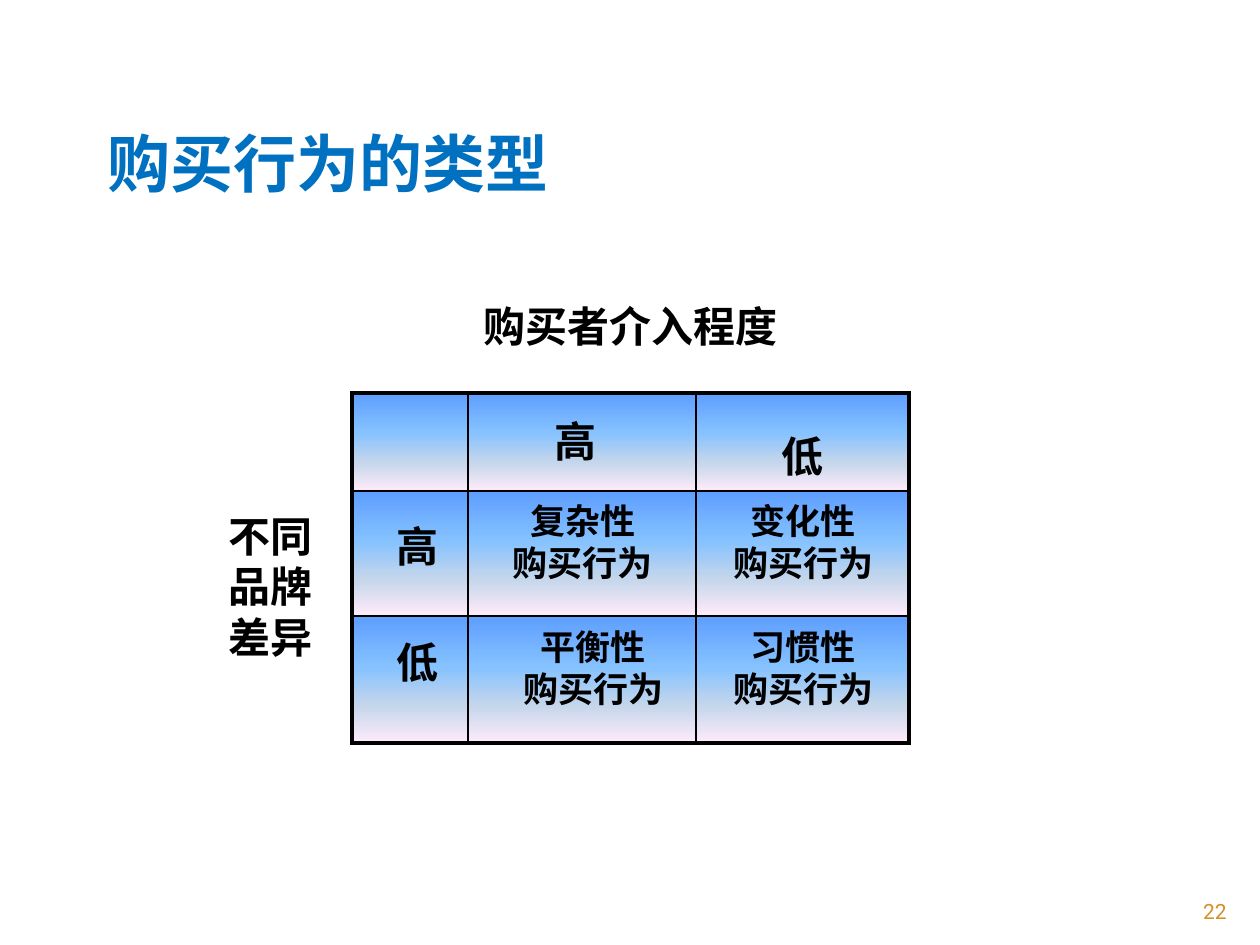
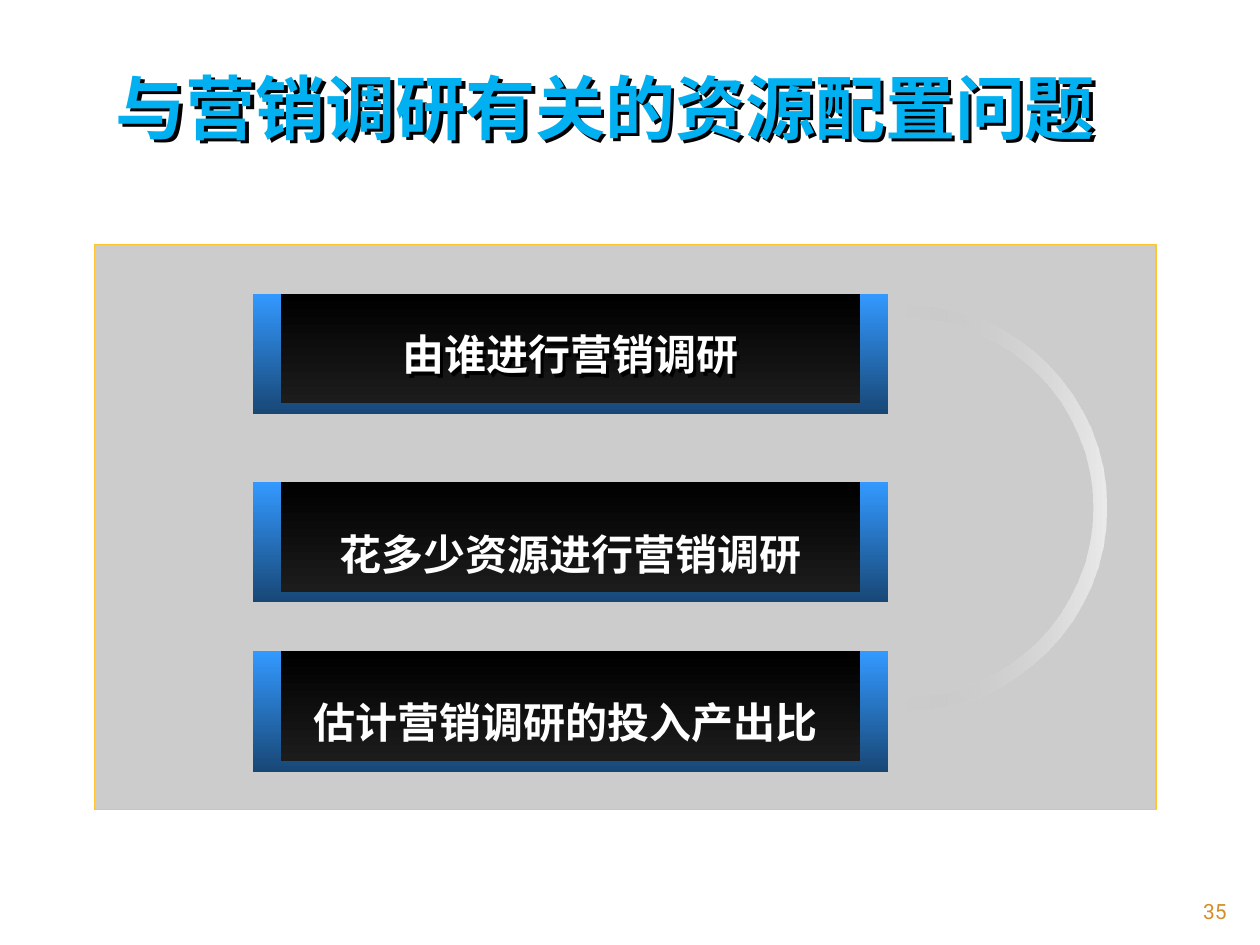
from dataclasses import dataclass

from pptx import Presentation
from pptx.dml.color import RGBColor
from pptx.enum.shapes import MSO_SHAPE
from pptx.enum.text import MSO_ANCHOR, MSO_AUTO_SIZE, PP_ALIGN
from pptx.oxml import parse_xml
from pptx.oxml.ns import nsdecls, qn
from pptx.util import Inches, Pt

RECTANGLE = MSO_SHAPE.RECTANGLE
MIDDLE, BOTTOM = MSO_ANCHOR.MIDDLE, MSO_ANCHOR.BOTTOM
LEFT, CENTER, RIGHT = PP_ALIGN.LEFT, PP_ALIGN.CENTER, PP_ALIGN.RIGHT
FIXED = MSO_AUTO_SIZE.NONE
TITLE_ONLY = 5
UNIT = Inches(0.1)


@dataclass(frozen=True)
class Theme:
    """Colours, gradients, fonts and type sizes of the deck."""
    black: str = "000000"
    white: str = "FFFFFF"
    gold: str = "FFC42F"
    number: str = "D48F29"
    blue: str = "0070C0"
    sky: str = "00B0F0"
    cell: tuple = ((0, "5E9EFF", 100), (40, "85C2FF", 100),
                   (70, "C4D6EB", 100), (100, "FFEBFA", 100))
    frame: tuple = ((0, "3399FF", 100), (100, "184776", 100))
    plate: tuple = ((0, "000000", 100), (100, "1C1C1C", 100))
    glow: tuple = ((0, "B6B6B6", 0), (100, "FFFFFF", 60))
    cjk: str = "Noto Sans CJK SC"
    serif: str = "Times New Roman"
    sans: str = "Arial"
    digits: str = "Roboto"
    title: int = 36
    big_title: int = 40
    label: int = 24
    kind: int = 20
    small: int = 12
    thin: float = 1
    thick: float = 2.25


THEME = Theme()


@dataclass(frozen=True)
class Box:
    """A region on a grid of 100 columns by 75 rows."""
    col: float
    row: float
    cols: float
    rows: float

    def inner(self, col, row, cols, rows):
        """Return a region placed relative to this one."""
        return Box(self.col + col, self.row + row, cols, rows)

    def emu(self):
        """Return left, top, width and height as lengths."""
        return [round(n * UNIT) for n in (self.col, self.row, self.cols, self.rows)]


PAGE = Box(0, 0, 100, 75)


def paint_gradient(owner, props, stops, angle=90):
    """Fill a shape or cell with gradient stops of place, colour and opacity."""
    owner.fill.background()
    marks = "".join(
        f'<a:gs pos="{place * 1000}"><a:srgbClr val="{colour}">'
        f'<a:alpha val="{opacity * 1000}"/></a:srgbClr></a:gs>'
        for place, colour, opacity in stops)
    gradient = parse_xml(
        f'<a:gradFill {nsdecls("a")} rotWithShape="1"><a:gsLst>{marks}</a:gsLst>'
        f'<a:lin ang="{angle * 60000}" scaled="0"/></a:gradFill>')
    props.replace(props.find(qn("a:noFill")), gradient)


def cast_shadow(shape):
    """Let the text of an unfilled shape cast a hard shadow."""
    shape.fill.background()
    shape._element.spPr.append(parse_xml(
        f'<a:effectLst {nsdecls("a")}><a:outerShdw dist="35921" dir="2700000" '
        f'algn="ctr" rotWithShape="0"><a:srgbClr val="{THEME.black}"/>'
        f'</a:outerShdw></a:effectLst>'))


def add_span(para, text, size, colour, font, bold=True):
    """Add one formatted run to a paragraph."""
    span = para.add_run()
    span.text = text
    span.font.size = Pt(size)
    span.font.bold = bold
    span.font.color.rgb = RGBColor.from_string(colour)
    span.font.name = font
    span.font._element.find(qn("a:latin")).addnext(
        parse_xml(f'<a:ea {nsdecls("a")} typeface="{THEME.cjk}"/>'))


def set_frame(frame, inset=0):
    """Give a text frame wrapping, a middle anchor and side insets in grid units."""
    frame.word_wrap = True
    frame.auto_size = FIXED
    frame.vertical_anchor = MIDDLE
    frame.margin_left = frame.margin_right = round(inset * UNIT)
    frame.margin_top = frame.margin_bottom = 0


def add_label(page, box, lines, size, font=THEME.serif, colour=THEME.black,
              align=CENTER, inset=0, bold=True):
    """Add and return a text box with one paragraph for each line."""
    label = page.shapes.add_textbox(*box.emu())
    frame = label.text_frame
    set_frame(frame, inset)
    for index, line in enumerate(lines):
        para = frame.paragraphs[0] if index == 0 else frame.add_paragraph()
        para.alignment = align
        if len(lines) > 1:
            para.line_spacing = Pt(size * 1.2)
        add_span(para, line, size, colour, font, bold)
    return label


def add_page(deck, number):
    """Add a title-only page with its number in the corner."""
    page = deck.slides.add_slide(deck.slide_layouts[TITLE_ONLY])
    add_label(page, PAGE.inner(90.05, 70.95, 8.3, 2.7), [number], THEME.small,
              THEME.digits, THEME.number, RIGHT, inset=1, bold=False)
    return page


def set_title(page, box, text, size, colour, align=LEFT, inset=0):
    """Move, format and return the title placeholder."""
    title = page.shapes.title
    title.left, title.top, title.width, title.height = box.emu()
    set_frame(title.text_frame, inset)
    para = title.text_frame.paragraphs[0]
    para.alignment = align
    para.line_spacing = 0.9
    add_span(para, text, size, colour, THEME.cjk)
    return title


def style_cell(cell, heavy_sides):
    """Give a cell its gradient and its thick or thin borders."""
    props = cell._tc.get_or_add_tcPr()
    paint_gradient(cell, props, THEME.cell)
    for index, side in enumerate("LRTB"):
        width = Pt(THEME.thick if side in heavy_sides else THEME.thin)
        props.insert(index, parse_xml(
            f'<a:ln{side} {nsdecls("a")} w="{width}"><a:solidFill>'
            f'<a:srgbClr val="{THEME.black}"/></a:solidFill></a:ln{side}>'))


def add_matrix(page, box):
    """Draw the grid of buying behaviours."""
    widths, heights = (9.2, 18.1, 16.9), (7.78, 9.9, 10.1)
    table = page.shapes.add_table(3, 3, *box.emu()).table
    for column, width in zip(table.columns, widths):
        column.width = round(width * UNIT)
    for row, height in zip(table.rows, heights):
        row.height = round(height * UNIT)
    for r in range(3):
        for c in range(3):
            sides = {0: "L", 2: "R"}.get(c, "") + {0: "T", 2: "B"}.get(r, "")
            style_cell(table.cell(r, c), sides)

    low = table.cell(0, 2)
    low.vertical_anchor = BOTTOM
    low.margin_top, low.margin_bottom = 0, Inches(0.05)
    para = low.text_frame.paragraphs[0]
    para.alignment = CENTER
    add_span(para, "低", THEME.label, THEME.black, THEME.sans)

    add_label(page, box.inner(15.05, 1.3, 5.4, 5), ["高"], THEME.label, THEME.digits)
    for text, row in (("高", 9.6), ("低", 18.8)):
        add_label(page, box.inner(2.5, row, 5.4, 5), [text], THEME.label)
    behaviours = (("复杂性", 11.7, 7.95), ("变化性", 29.2, 7.95),
                  ("平衡性", 12.55, 17.95), ("习惯性", 29.2, 17.95))
    for kind, col, row in behaviours:
        add_label(page, box.inner(col, row, 13.2, 7.7), [kind, "购买行为"], THEME.kind)


def build_behaviour_page(deck):
    """Build the page on types of buying behaviour."""
    page = add_page(deck, "22")
    set_title(page, PAGE.inner(7.5, 7, 85, 12.5), "购买行为的类型",
              THEME.title, THEME.blue, inset=1)
    add_matrix(page, PAGE.inner(27.95, 31.2, 44.2, 27.78))
    add_label(page, PAGE.inner(37.4, 23.35, 25.3, 5), ["购买者介入程度"], THEME.label)
    add_label(page, PAGE.inner(17.15, 40, 8.7, 13), ["不同", "品牌", "差异"], THEME.label)


def add_rectangle(page, box):
    """Add a plain rectangle without line or shadow."""
    shape = page.shapes.add_shape(RECTANGLE, *box.emu())
    shape.shadow.inherit = False
    shape.line.fill.background()
    return shape


def add_panel(page, box):
    """Draw the translucent backing panel."""
    panel = add_rectangle(page, box)
    panel.fill.solid()
    panel.fill.fore_color.rgb = RGBColor.from_string(THEME.black)
    tint = panel._element.spPr.find(qn("a:solidFill"))[0]
    tint.append(parse_xml(f'<a:alpha {nsdecls("a")} val="20000"/>'))
    panel.line.color.rgb = RGBColor.from_string(THEME.gold)
    panel.line.width = Pt(0.75)


def half_circle(radius):
    """Return start and control points of a right half circle, top to bottom."""
    pull = 0.55 * radius
    return [(0, -radius), (pull, -radius), (radius, -pull), (radius, 0),
            (radius, pull), (pull, radius), (0, radius)]


def add_arc(page, box, thickness):
    """Draw a fading half ring that fills the box."""
    left, top, width, height = box.emu()
    ring = half_circle(width) + half_circle(width - thickness * UNIT)[::-1]
    points = [(round(left + x), round(top + height / 2 + y)) for x, y in ring]
    builder = page.shapes.build_freeform(*points[0])
    builder.add_line_segments(points[1:], close=True)
    arc = builder.convert_to_shape()
    lines = list(arc._element.iter(qn("a:lnTo")))
    for first in (0, 3, 7, 10):
        curve = parse_xml(f'<a:cubicBezTo {nsdecls("a")}/>')
        lines[first].addprevious(curve)
        for line in lines[first:first + 3]:
            curve.append(line[0])
            line.getparent().remove(line)
    arc.shadow.inherit = False
    arc.line.fill.background()
    paint_gradient(arc, arc._element.spPr, THEME.glow, angle=0)


def add_bar(page, box, text, middle, shift):
    """Draw a framed dark bar and return its caption."""
    plate = box.inner(2.2, 0, 45.95, 8.7)
    for area, stops in ((box, THEME.frame), (plate, THEME.plate)):
        shape = add_rectangle(page, area)
        paint_gradient(shape, shape._element.spPr, stops)
    return add_label(page, plate.inner(shift, middle - 2.5, 45.9, 5), [text],
                     THEME.label, THEME.sans, THEME.white)


def build_resource_page(deck):
    """Build the page on resources for marketing research."""
    page = add_page(deck, "35")
    title = set_title(page, PAGE.inner(5.9, 5.8, 84.3, 6.1), "与营销调研有关的资源配置问题",
                      THEME.big_title, THEME.sky, CENTER)
    panel = PAGE.inner(7.5, 19.4, 84.25, 44.85)
    add_panel(page, panel)
    add_arc(page, panel.inner(64.25, 4.75, 16.1, 32.2), 1.1)
    bars = (("由谁进行营销调研", 3.9, 4.8, 0),
            ("花多少资源进行营销调研", 18.85, 5.7, 0),
            ("估计营销调研的投入产出比", 32.3, 5.6, -0.4))
    captions = [add_bar(page, panel.inner(12.6, row, 50.4, 9.55), text, middle, shift)
                for text, row, middle, shift in bars]
    for shape in (title, captions[0]):
        cast_shadow(shape)


def main():
    """Build and save the deck."""
    deck = Presentation()
    deck.slide_width, deck.slide_height = PAGE.emu()[2:]
    build_behaviour_page(deck)
    build_resource_page(deck)
    deck.save("out.pptx")


if __name__ == "__main__":
    main()
